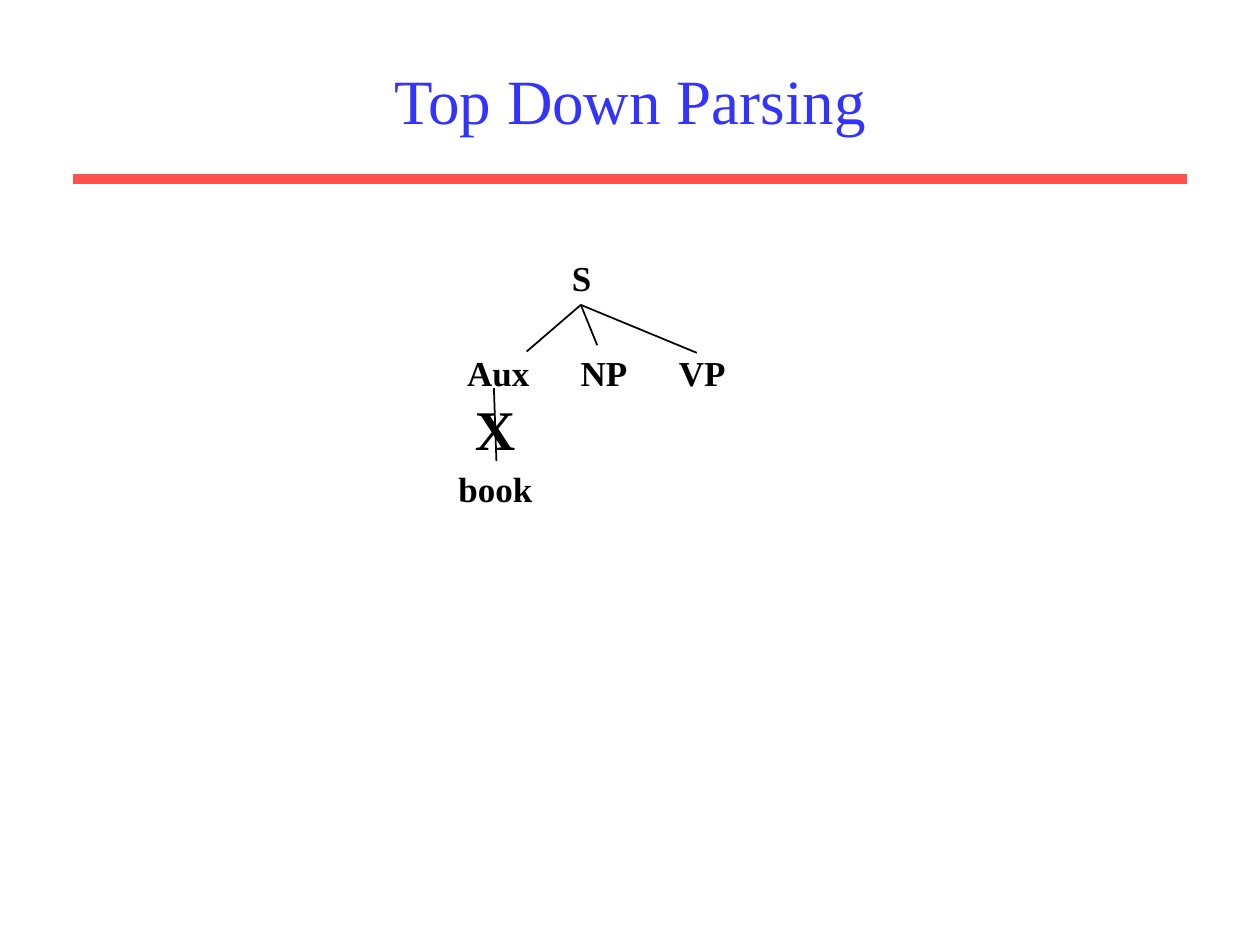
from lxml.etree import SubElement
from pptx import Presentation
from pptx.dml.color import RGBColor
from pptx.enum.shapes import MSO_CONNECTOR as CONN
from pptx.enum.text import MSO_ANCHOR as ANCHOR, PP_ALIGN as ALIGN
from pptx.oxml.ns import qn
from pptx.util import Inches, Pt

FONT = "Times New Roman"
WIDTH, HEIGHT = Inches(10), Inches(7.5)
COL, ROW = WIDTH // 100, HEIGHT // 75


def color(value):
    return RGBColor.from_string(value)


def add_line(shapes, start, end, hue="000000", weight=1):
    x1, y1 = start
    x2, y2 = end
    line = shapes.add_connector(CONN.STRAIGHT, int(x1 * COL), int(y1 * ROW),
                                int(x2 * COL), int(y2 * ROW))
    line.line.color.rgb = color(hue)
    line.line.width = Pt(weight)
    SubElement(line._element.spPr, qn("a:effectLst"))


def add_text(shapes, box, text, size, hue="000000", bold=True,
             align=ALIGN.LEFT, anchor=ANCHOR.TOP, wrap=False, tabs=()):
    x, y, w, h = box
    sp = shapes.add_textbox(int(x * COL), int(y * ROW), int(w * COL), int(h * ROW))
    tf = sp.text_frame
    tf.word_wrap = wrap
    tf.vertical_anchor = anchor
    p = tf.paragraphs[0]
    p.text = text
    p.alignment = align
    if tabs:
        tab_list = SubElement(p._p.get_or_add_pPr(), qn("a:tabLst"))
        for stop in tabs:
            SubElement(tab_list, qn("a:tab"), pos=str(int(stop * COL)), algn="l")
    p.font.name = FONT
    p.font.size = Pt(size)
    p.font.bold = bold
    p.font.color.rgb = color(hue)


def add_header(shapes, box):
    x, y, w, h = box
    add_line(shapes, (x, y + h), (x + w, y + h), "FF5050", 6)
    add_text(shapes, (x + 1.7, y, w - 3.4, h - 0.9), "Top Down Parsing", 36,
             "3333FF", False, ALIGN.CENTER, ANCHOR.MIDDLE, True)


def add_parse_tree(shapes, origin):
    x, y = origin
    add_text(shapes, (x + 9, y, 3.5, 4.4), "S", 20)
    add_text(shapes, (x + 0.7, y + 7.5, 22.7, 4.4), "Aux\tNP\tVP", 20, tabs=(9, 16.8))
    for dx, dy in ((6.4, 8), (12, 7.5), (19.9, 8.1)):
        add_line(shapes, (x + 10.7, y + 4.3), (x + dx, y + dy))
    failed = shapes.add_group_shape().shapes
    add_text(failed, (x, y + 16.7, 7.9, 4.4), "book", 20)
    add_line(failed, (x + 3.8, y + 10.9), (x + 4, y + 16.7))
    add_text(failed, (x + 1.3, y + 10.9, 5.2, 6.4), "X", 32)


def main():
    prs = Presentation()
    prs.slide_width, prs.slide_height = WIDTH, HEIGHT
    s = prs.slides.add_slide(prs.slide_layouts[6])
    add_header(s.shapes, (5.8, 2.5, 88.4, 11.7))
    add_parse_tree(s.shapes, (35.4, 19.9))
    prs.save("out.pptx")


if __name__ == "__main__":
    main()
